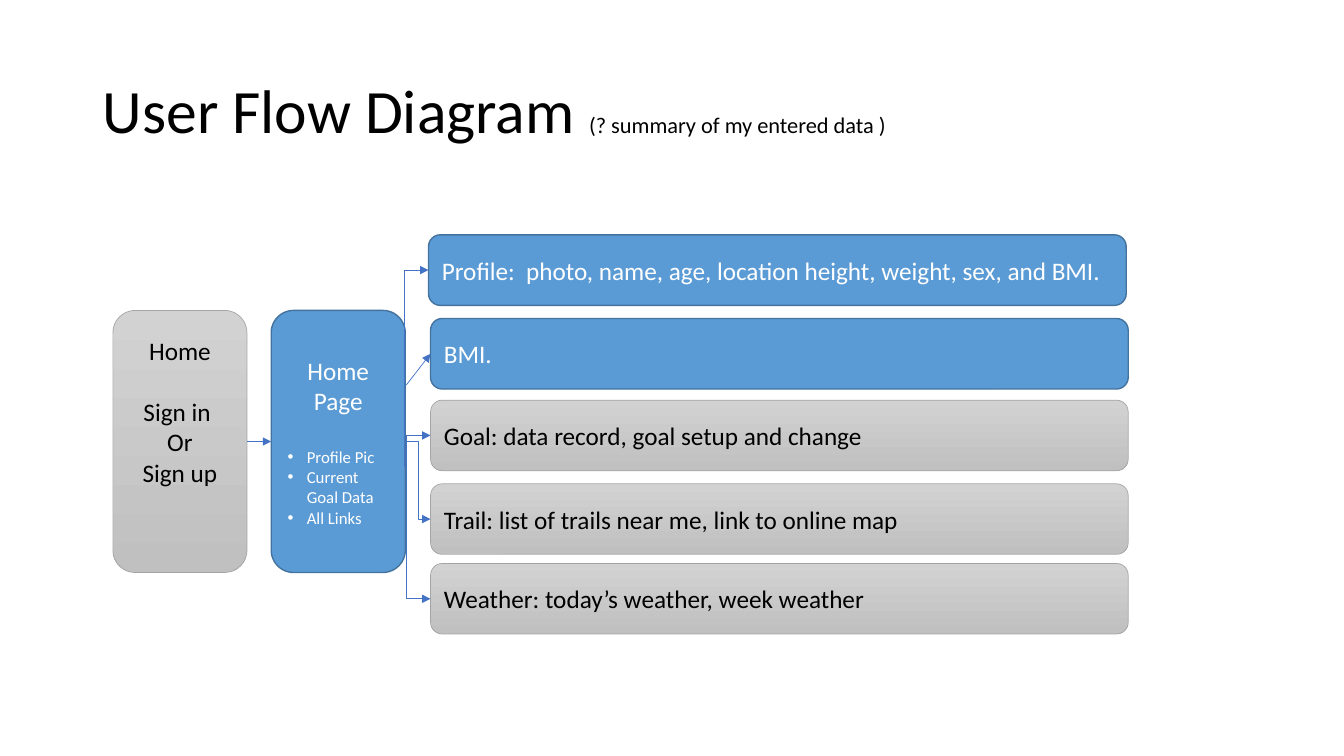
from dataclasses import dataclass

from pptx import Presentation
from pptx.dml.color import RGBColor as Color
from pptx.enum.shapes import MSO_CONNECTOR as Link, MSO_SHAPE as Shape
from pptx.enum.text import MSO_ANCHOR as Anchor, MSO_AUTO_SIZE as AutoSize, PP_ALIGN as Align
from pptx.oxml.ns import qn
from pptx.util import Inches, Pt
from lxml.etree import SubElement


@dataclass(frozen=True)
class Theme:
    font: str = "Calibri"
    black: str = "000000"
    white: str = "FFFFFF"
    blue: str = "5B9BD5"
    blue_edge: str = "43739E"
    gray_top: str = "D2D2D2"
    gray_bottom: str = "C0C0C0"
    gray_edge: str = "A5A5A5"
    arrow: str = "4472C4"
    title: int = 44
    note: int = 16
    body: int = 18
    small: int = 12
    blank_line: int = 22


THEME = Theme()


def set_values(target, values):
    for name, value in values.items():
        setattr(target, name, value)


def add_span(para, text, size, color):
    span = para.add_run()
    span.text = text
    set_values(span.font, {"name": THEME.font, "size": Pt(size)})
    span.font.color.rgb = Color.from_string(color)


def add_title(page, spans):
    title = page.shapes.title
    set_values(title, {"left": Inches(0.92), "top": Inches(0.4),
                       "width": Inches(11.5), "height": Inches(1.45)})
    set_values(title.text_frame, {"vertical_anchor": Anchor.MIDDLE, "word_wrap": True,
                                  "auto_size": AutoSize.NONE})
    para = title.text_frame.paragraphs[0]
    set_values(para, {"alignment": Align.LEFT, "line_spacing": 0.9})
    for text, size in spans:
        add_span(para, text, size, THEME.black)


def add_box(page, left, top, width, height, is_blue):
    box = page.shapes.add_shape(Shape.ROUNDED_RECTANGLE, Inches(left), Inches(top),
                                Inches(width), Inches(height))
    box.shadow.inherit = False
    if is_blue:
        box.fill.solid()
        box.fill.fore_color.rgb = Color.from_string(THEME.blue)
    else:
        box.fill.gradient()
        box.fill.gradient_angle = 270
        for stop, color in zip(box.fill.gradient_stops, (THEME.gray_top, THEME.gray_bottom)):
            stop.color.rgb = Color.from_string(color)
    box.line.width = Pt(1 if is_blue else 0.5)
    box.line.color.rgb = Color.from_string(THEME.blue_edge if is_blue else THEME.gray_edge)
    set_values(box.text_frame, {"vertical_anchor": Anchor.MIDDLE, "word_wrap": True})
    return box


def add_lines(box, lines, color, align, size=THEME.body, gap_at=None, bullet=False):
    """Add one paragraph a line, with a blank line's space before line gap_at."""
    frame = box.text_frame
    for index, text in enumerate(lines):
        para = frame.paragraphs[0] if not frame.text else frame.add_paragraph()
        para.alignment = align
        if index == gap_at:
            para.space_before = Pt(THEME.blank_line)
        if bullet:
            indent = Inches(0.19)
            props = para._p.get_or_add_pPr()
            props.set("marL", str(indent))
            props.set("indent", str(-indent))
            SubElement(props, qn("a:buFont"), typeface="Arial")
            SubElement(props, qn("a:buChar"), char="•")
        add_span(para, text, size, color)


def add_arrow(page, start, end, bend=None):
    """Draw a straight arrow, or an elbow that turns at bend of its width."""
    kind = Link.STRAIGHT if bend is None else Link.ELBOW
    arrow = page.shapes.add_connector(kind, *(Inches(value) for value in start + end))
    arrow.line.width = Pt(0.5)
    arrow.line.color.rgb = Color.from_string(THEME.arrow)
    SubElement(arrow.line._get_or_add_ln(), qn("a:tailEnd"), type="triangle")
    props = arrow._element.spPr
    SubElement(props, qn("a:effectLst"))
    if bend is not None:
        guides = props.find(qn("a:prstGeom")).get_or_add_avLst()
        SubElement(guides, qn("a:gd"), name="adj1", fmla=f"val {int(bend * 100000)}")


def main():
    deck = Presentation()
    set_values(deck, {"slide_width": Inches(13.33), "slide_height": Inches(7.5)})
    page = deck.slides.add_slide(deck.slide_layouts[5])
    add_title(page, [("User Flow Diagram ", THEME.title),
                     ("(? summary of my entered data\u00a0)", THEME.note)])

    # Entry steps
    sign_in = add_box(page, 1.12, 3.08, 1.33, 2.6, is_blue=False)
    sign_in.text_frame.margin_bottom = Inches(0.65)
    add_lines(sign_in, ["Home", "Sign in ", "Or", "Sign up"], THEME.black, Align.CENTER, gap_at=1)

    home_page = add_box(page, 2.69, 3.08, 1.33, 2.6, is_blue=True)
    add_lines(home_page, ["Home", "Page"], THEME.white, Align.CENTER)
    add_lines(home_page, ["Profile Pic", "Current Goal Data", "All Links"], THEME.white,
              Align.LEFT, THEME.small, gap_at=0, bullet=True)

    # Feature pages: left, top, blue or gray, text
    features = [
        (4.25, 2.33, True, "Profile:  photo, name, age, location height, weight, sex, and BMI. "),
        (4.27, 3.16, True, "BMI. "),
        (4.27, 3.97, False, "Goal: data record, goal setup and change"),
        (4.27, 4.8, False, "Trail: list of trails near me, link to online map"),
        (4.27, 5.59, False, "Weather: today’s weather, week weather"),
    ]
    for left, top, is_blue, text in features:
        feature = add_box(page, left, top, 6.92, 0.7, is_blue)
        add_lines(feature, [text], THEME.white if is_blue else THEME.black, Align.LEFT)

    # Arrows from the home page to the middle of each feature
    add_arrow(page, (2.45, 4.38), (2.69, 4.38))
    starts = [(4.01, 4.63, 0), (4.03, 3.82, None), (4.03, 5.09, 0),
              (4.03, 4.38, 0.5), (4.03, 5.09, 0)]
    for (x, y, bend), (left, top, *_) in zip(starts, features):
        add_arrow(page, (x, y), (left, top + 0.35), bend)

    deck.save("out.pptx")


main()
